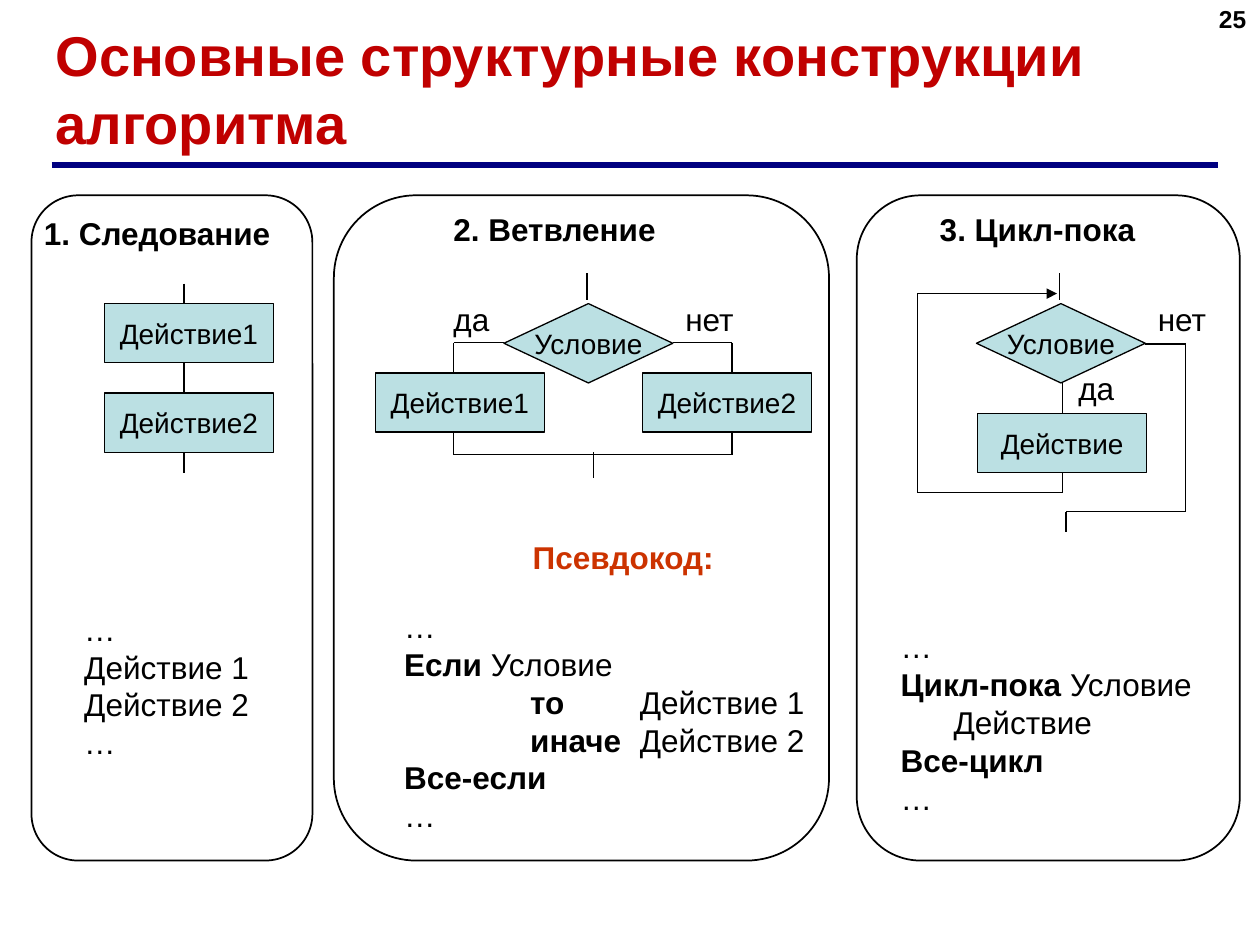
"""Build a slide on the three basic algorithm structures with flowcharts and pseudocode."""
import itertools

import lxml.etree
import pptx
import pptx.dml.color
import pptx.enum.shapes
import pptx.enum.text
import pptx.oxml.ns
import pptx.util

Inches = pptx.util.Inches
Shapes = pptx.enum.shapes.MSO_SHAPE
Align = pptx.enum.text.PP_ALIGN
Anchor = pptx.enum.text.MSO_ANCHOR
qn = pptx.oxml.ns.qn

THEME = {
    "font": "Arial", "ink": "000000", "title": "C00000", "accent": "CC3300",
    "rule": "000080", "node": "BBE0E3",
    "title_size": 32, "body_size": 18, "node_size": 16, "number_size": 14,
}

TITLE = "Основные структурные конструкции алгоритма"
PANEL_TOP, PANEL_HEIGHT = 1.55, 5.28
PANELS = [(0.25, 2.23), (2.65, 3.93), (6.8, 3.04)]
HEADINGS = [
    ("1. Следование", (0.25, 1.65, 2.01, 0.4), "ink"),
    ("2. Ветвление", (3.5, 1.62, 1.82, 0.4), "ink"),
    ("3. Цикл-пока", (7.36, 1.62, 1.75, 0.4), "ink"),
    ("Псевдокод:", (4.13, 4.22, 1.64, 0.4), "accent"),
]
NODE_WIDTH, ACTION_HEIGHT, CONDITION_HEIGHT = 1.34, 0.47, 0.63
ACTIONS = [
    ("Действие1", 0.83, 2.41), ("Действие2", 0.83, 3.12),
    ("Действие1", 2.98, 2.96), ("Действие2", 5.1, 2.96),
    ("Действие", 7.76, 3.28),
]
CONDITIONS = [("Условие", 4, 2.41), ("Условие", 7.75, 2.41)]
BRANCH_LABELS = [
    ("да", (3.5, 2.33, 0.49, 0.4)), ("нет", (5.34, 2.33, 0.59, 0.4)),
    ("да", (8.46, 2.88, 0.49, 0.4)), ("нет", (9.09, 2.33, 0.59, 0.4)),
]
FLOWS = [
    [(1.46, 2.25), (1.46, 2.41)],
    [(1.46, 2.88), (1.46, 3.12)],
    [(1.46, 3.59), (1.46, 3.75)],
    [(4.66, 2.17), (4.66, 2.38)],
    [(4, 2.72), (3.6, 2.72), (3.6, 2.96)],
    [(5.34, 2.72), (5.81, 2.72), (5.81, 2.96)],
    [(3.6, 3.43), (3.6, 3.61), (5.81, 3.61), (5.81, 3.43)],
    [(4.71, 3.59), (4.71, 3.79)],
    [(8.41, 2.17), (8.41, 2.38)],
    [(8.43, 3.04), (8.43, 3.28)],
    [(9.09, 2.73), (9.41, 2.73), (9.41, 4.06), (8.46, 4.06), (8.46, 4.22)],
]
LOOP_BACK = [(8.43, 3.75), (8.43, 3.91), (7.28, 3.91), (7.28, 2.33), (8.39, 2.33)]
PSEUDOCODE = [
    ((0.57, 4.79, 1.51, 1.3), ["…", "Действие 1", "Действие 2", "…"]),
    ((3.11, 4.77, 3.41, 1.9), [
        "…", "**Если** Условие", "\t**то**\tДействие 1",
        "\t**иначе**\tДействие 2", "**Все-если**", "…"]),
    ((7.05, 4.93, 2.52, 1.6), [
        "…", "**Цикл-пока** Условие", "> Действие", "**Все-цикл**", "…"]),
]
TAB_STOPS = (1, 1.87)
BODY_INDENT = 0.42


def rgb(role):
    return pptx.dml.color.RGBColor.from_string(THEME[role])


def write(shape, lines, size="body_size", color="ink", bold=False,
          align=Align.LEFT, anchor=Anchor.TOP, wrap=True, right_inset=0):
    """Fill a shape with lines; ** toggles bold and a leading > indents."""
    frame = shape.text_frame
    frame.word_wrap, frame.vertical_anchor = wrap, anchor
    frame.margin_right = Inches(right_inset)
    for index, line in enumerate(lines):
        paragraph = frame.paragraphs[0] if index == 0 else frame.add_paragraph()
        paragraph.alignment = align
        properties = paragraph._p.get_or_add_pPr()
        if line.startswith("> "):
            properties.set("marL", str(Inches(BODY_INDENT)))
            line = line[2:]
        if "\t" in line:
            stops = lxml.etree.SubElement(properties, qn("a:tabLst"))
            for stop in TAB_STOPS:
                lxml.etree.SubElement(stops, qn("a:tab"), pos=str(Inches(stop)), algn="l")
        for part, words in enumerate(line.split("**")):
            if words:
                run = paragraph.add_run()
                run.text = words
                run.font.name = THEME["font"]
                run.font.size = pptx.util.Pt(THEME[size])
                run.font.bold = bold or part % 2 == 1
                run.font.color.rgb = rgb(color)


def add_label(slide, box, lines, **style):
    write(slide.shapes.add_textbox(*map(Inches, box)), lines, **style)


def add_outline(slide, kind, box, line_width, fill=None):
    shape = slide.shapes.add_shape(kind, *map(Inches, box))
    shape.shadow.inherit = False
    shape.line.color.rgb = rgb("ink")
    shape.line.width = pptx.util.Pt(line_width)
    if fill:
        shape.fill.solid()
        shape.fill.fore_color.rgb = rgb(fill)
    else:
        shape.fill.background()
    return shape


def add_flow(slide, points, color="ink", width=0.75, arrow=False):
    for start, end in itertools.pairwise(points):
        segment = slide.shapes.add_connector(
            pptx.enum.shapes.MSO_CONNECTOR.STRAIGHT, *map(Inches, start + end))
        segment.line.color.rgb = rgb(color)
        segment.line.width = pptx.util.Pt(width)
        if arrow and end == points[-1]:
            lxml.etree.SubElement(segment.line._get_or_add_ln(), qn("a:tailEnd"), type="triangle")
        lxml.etree.SubElement(segment._element.spPr, qn("a:effectLst"))


def main():
    deck = pptx.Presentation()
    deck.slide_width, deck.slide_height = Inches(10), Inches(7.5)
    slide = deck.slides.add_slide(deck.slide_layouts[5])

    title = slide.shapes.title
    title.left, title.top, title.width, title.height = map(Inches, (0.34, 0.44, 9.16, 0.52))
    title.text_frame.auto_size = pptx.enum.text.MSO_AUTO_SIZE.NONE
    write(title, [TITLE], size="title_size", color="title", bold=True,
          anchor=Anchor.MIDDLE, right_inset=0.1)
    add_flow(slide, [(0.41, 1.31), (9.67, 1.31)], color="rule", width=3)
    add_label(slide, (7.66, -0.02, 2.33, 0.52), ["25"], size="number_size",
              bold=True, align=Align.RIGHT, right_inset=0.1)

    for left, width in PANELS:
        add_outline(slide, Shapes.ROUNDED_RECTANGLE, (left, PANEL_TOP, width, PANEL_HEIGHT), 1)
    for heading, box, color in HEADINGS:
        add_label(slide, box, [heading], color=color, bold=True)

    for flow in FLOWS:
        add_flow(slide, flow)
    add_flow(slide, LOOP_BACK, arrow=True)
    for kind, height, nodes in (
        (Shapes.RECTANGLE, ACTION_HEIGHT, ACTIONS),
        (Shapes.DIAMOND, CONDITION_HEIGHT, CONDITIONS),
    ):
        for name, left, top in nodes:
            node = add_outline(slide, kind, (left, top, NODE_WIDTH, height), 0.75, "node")
            write(node, [name], size="node_size", align=Align.CENTER,
                  anchor=Anchor.MIDDLE, wrap=False, right_inset=0.1)
    for label, box in BRANCH_LABELS:
        add_label(slide, box, [label])

    for box, lines in PSEUDOCODE:
        add_label(slide, box, lines)
    deck.save("out.pptx")


if __name__ == "__main__":
    main()
